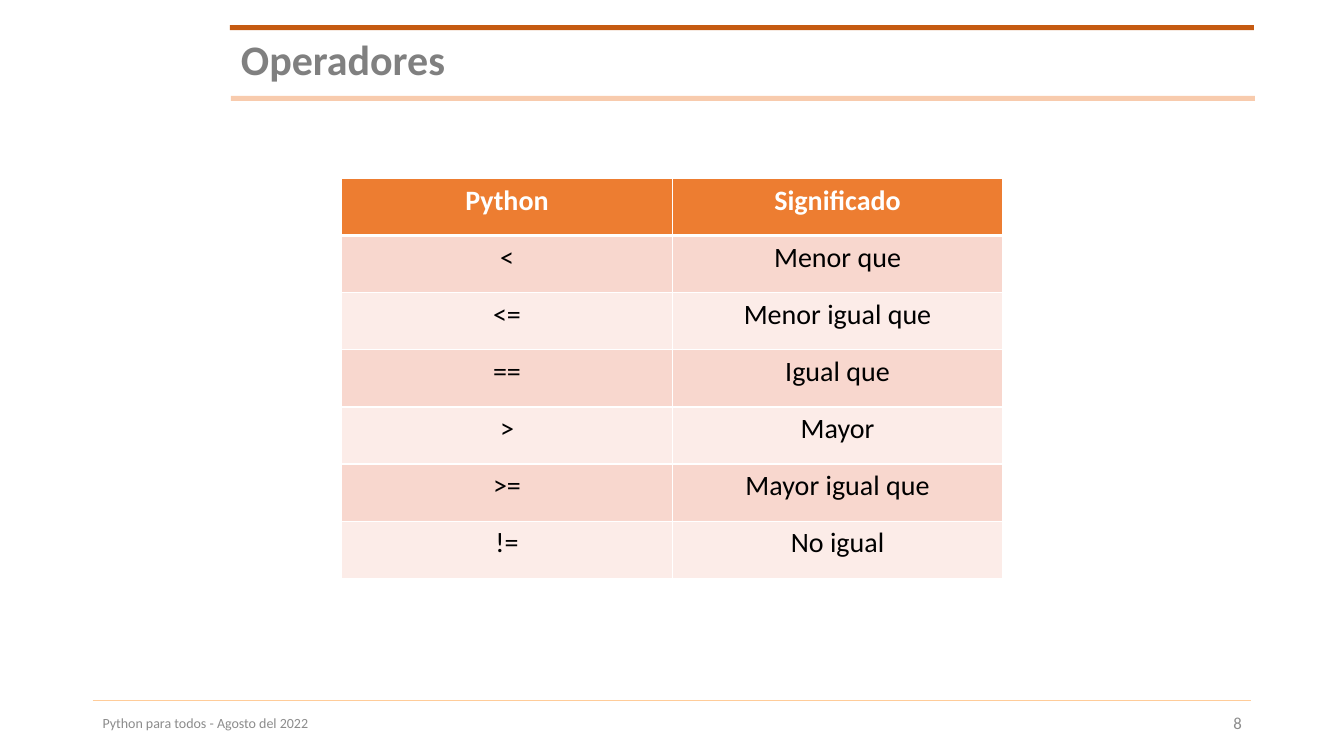
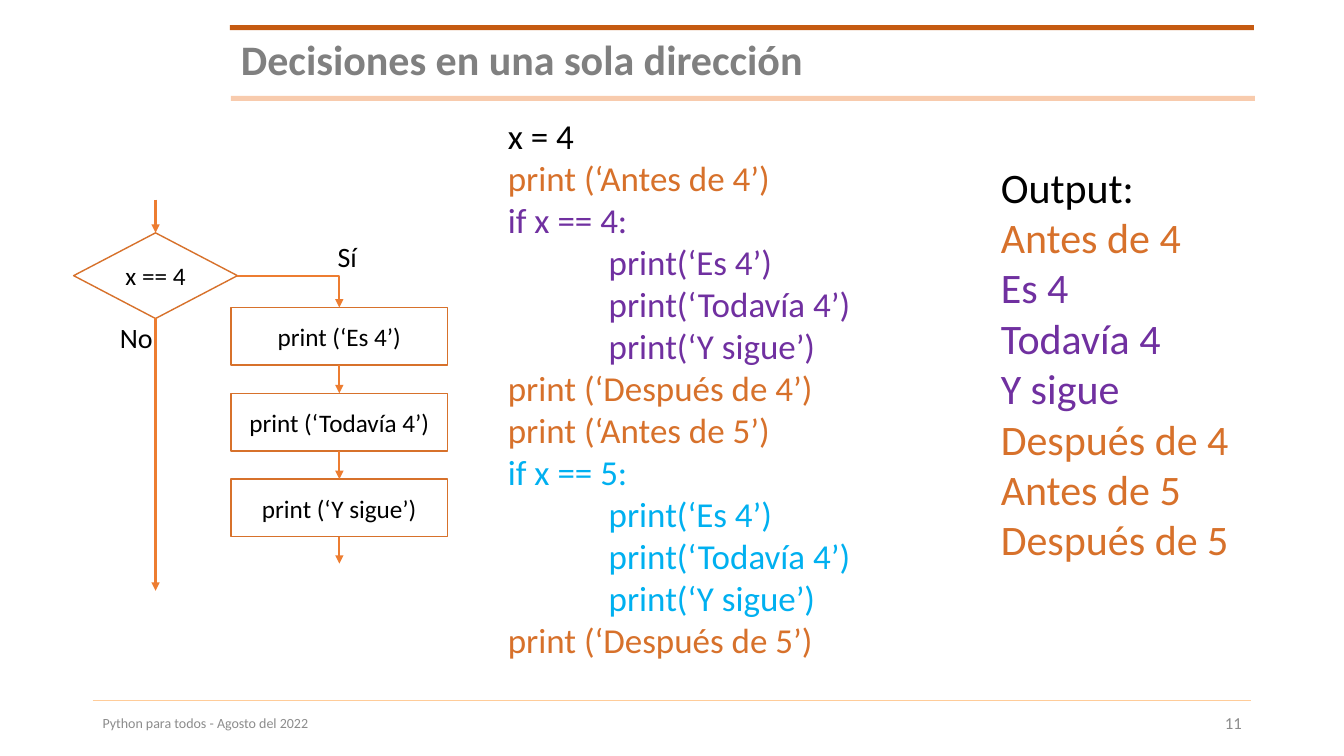
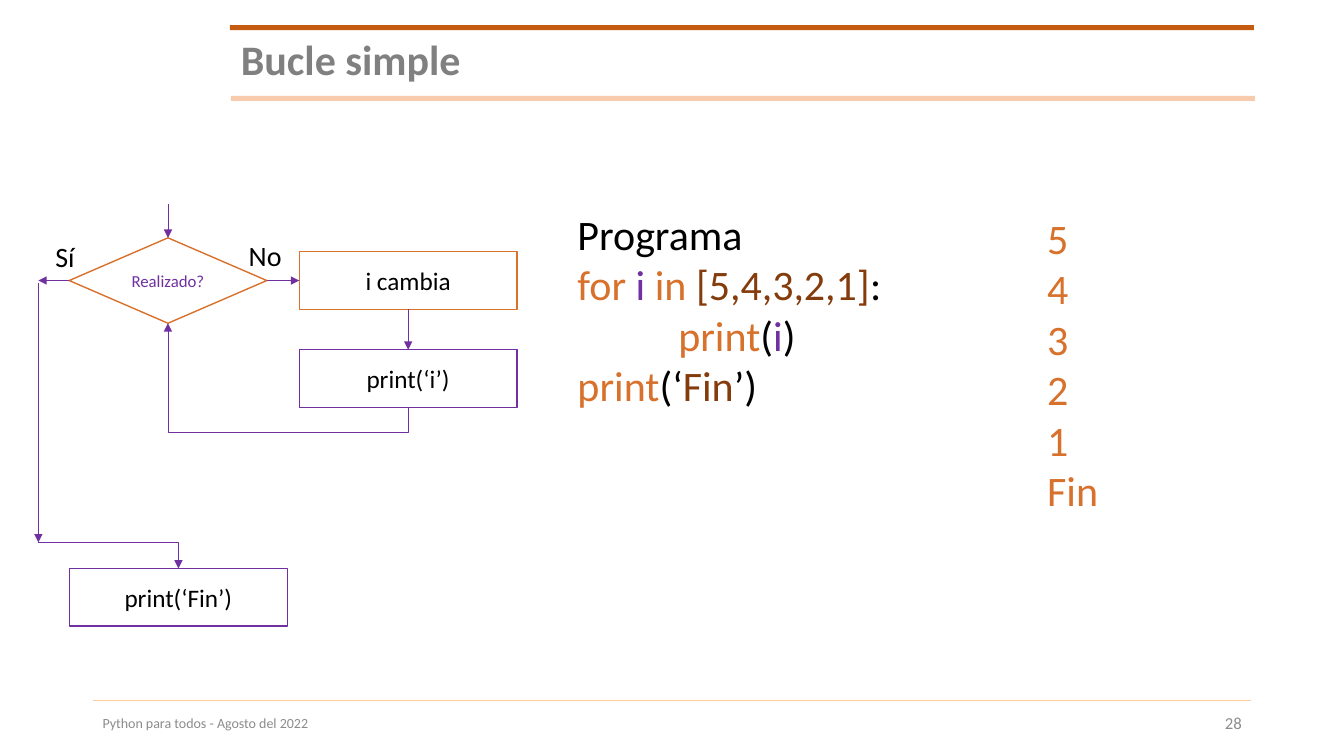
from dataclasses import dataclass

from lxml import etree
from pptx import Presentation
from pptx import util as u
from pptx.dml.color import RGBColor
from pptx.enum import shapes, text
from pptx.oxml import ns

Pt = u.Pt


@dataclass(frozen=True)
class Theme:
    font: str = "Calibri"
    black: str = "000000"
    white: str = "FFFFFF"
    title: str = "808080"
    footer: str = "8C8C8C"
    rule: str = "FFCC99"
    top_bar: str = "C55A11"
    bottom_bar: str = "F8CBAD"
    header: str = "ED7D31"
    bands: tuple = ("F8D7CE", "FCECE8")
    orange: str = "D7712B"
    purple: str = "7030A0"
    blue: str = "00B0F0"
    brown: str = "843C0C"
    arrow: str = "ED7D31"
    title_size: int = 30
    big_size: int = 30
    code_size: int = 25
    label_size: int = 20
    box_size: int = 18
    small_size: int = 12
    footer_size: int = 10


THEME = Theme()
BLACK, ORANGE, PURPLE = THEME.black, THEME.orange, THEME.purple
BLUE, BROWN = THEME.blue, THEME.brown
TOP, LEFT, BOTTOM, RIGHT = range(4)
INDENT = 72

FOOTER = "Python para todos - Agosto del 2022"
OPERATORS = [
    ("Python", "Significado"),
    ("<", "Menor que"),
    ("<=", "Menor igual que"),
    ("==", "Igual que"),
    (">", "Mayor"),
    (">=", "Mayor igual que"),
    ("!=", "No igual"),
]
DECISION_CODE = [
    (0, [("x = 4", BLACK)]),
    (0, [("print (‘Antes de 4’)", ORANGE)]),
    (0, [("if x == 4:", PURPLE)]),
    (1, [("print(‘Es 4’)", PURPLE)]),
    (1, [("print(‘Todavía 4’)", PURPLE)]),
    (1, [("print(‘Y sigue’)", PURPLE)]),
    (0, [("print (‘Después de 4’)", ORANGE)]),
    (0, [("print (‘Antes de 5’)", ORANGE)]),
    (0, [("if x == 5:", BLUE)]),
    (1, [("print(‘Es 4’)", BLUE)]),
    (1, [("print(‘Todavía 4’)", BLUE)]),
    (1, [("print(‘Y sigue’)", BLUE)]),
    (0, [("print (‘Después de 5’)", ORANGE)]),
]
DECISION_OUTPUT = [
    (0, [("Output:", BLACK)]),
    (0, [("Antes de 4", ORANGE)]),
    (0, [("Es 4", PURPLE)]),
    (0, [("Todavía 4", PURPLE)]),
    (0, [("Y sigue", PURPLE)]),
    (0, [("Después de 4", ORANGE)]),
    (0, [("Antes de 5", ORANGE)]),
    (0, [("Después de 5", ORANGE)]),
]
DECISION_STEPS = ["print (‘Es 4’)", "print (‘Todavía 4’)", "print (‘Y sigue’)"]
LOOP_CODE = [
    (0, [("Programa", BLACK)]),
    (0, [("for ", ORANGE), ("i ", PURPLE), ("in ", ORANGE),
         ("[5,4,3,2,1]", BROWN), (":", BLACK)]),
    (1, [("print", ORANGE), ("(", BLACK), ("i", PURPLE), (")", BLACK)]),
    (0, [("print", ORANGE), ("(‘", BLACK), ("Fin", BROWN), ("’)", BLACK)]),
]
LOOP_OUTPUT = [(0, [(line, ORANGE)]) for line in ("5", "4", "3", "2", "1", "Fin")]


def points(values):
    return [Pt(value) for value in values]


def rgb(color):
    return RGBColor.from_string(color)


def add_run(paragraph, content, size, color, bold=False):
    run = paragraph.add_run()
    run.text = content
    run.font.name = THEME.font
    run.font.size = Pt(size)
    run.font.bold = bold
    run.font.color.rgb = rgb(color)


def add_text(slide, box, lines, size, align=None, grow=True):
    frame = slide.shapes.add_textbox(*points(box)).text_frame
    frame.word_wrap = True
    if grow:
        frame.auto_size = text.MSO_AUTO_SIZE.SHAPE_TO_FIT_TEXT
    else:
        frame.vertical_anchor = text.MSO_ANCHOR.MIDDLE
    for index, (level, runs) in enumerate(lines):
        paragraph = frame.add_paragraph() if index else frame.paragraphs[0]
        paragraph.alignment = align
        if level:
            properties = paragraph._p.get_or_add_pPr()
            properties.set("marL", str(Pt(INDENT * level)))
            properties.set("indent", "0")
        for content, color in runs:
            add_run(paragraph, content, size, color)


def add_label(slide, left, top, content):
    add_text(slide, (left, top, 43, 32), [(0, [(content, BLACK)])], THEME.label_size)


def add_node(slide, box, content, line, size=THEME.box_size, color=BLACK,
             kind=shapes.MSO_SHAPE.RECTANGLE):
    shape = slide.shapes.add_shape(kind, *points(box))
    shape.shadow.inherit = False
    shape.fill.solid()
    shape.fill.fore_color.rgb = rgb(THEME.white)
    shape.line.color.rgb = rgb(line)
    shape.line.width = Pt(1)
    shape.text_frame.word_wrap = True
    shape.text_frame.vertical_anchor = text.MSO_ANCHOR.MIDDLE
    paragraph = shape.text_frame.paragraphs[0]
    paragraph.alignment = text.PP_ALIGN.CENTER
    add_run(paragraph, content, size, color)
    return shape


def add_line(slide, begin, end, color, width, kind=shapes.MSO_CONNECTOR.STRAIGHT):
    connector = slide.shapes.add_connector(kind, *points((*begin, *end)))
    connector.line.color.rgb = rgb(color)
    connector.line.width = Pt(width)
    etree.SubElement(connector.element.spPr, ns.qn("a:effectLst"))
    return connector


def add_arrow(slide, begin, end, color, width, bend=None):
    kind = shapes.MSO_CONNECTOR.ELBOW if bend else shapes.MSO_CONNECTOR.STRAIGHT
    places = [(0, 0) if hasattr(anchor[0], "shape_id") else anchor
              for anchor in (begin, end)]
    connector = add_line(slide, *places, color, width, kind)
    for anchor, connect in ((begin, connector.begin_connect), (end, connector.end_connect)):
        if hasattr(anchor[0], "shape_id"):
            connect(*anchor)
    line = connector.element.spPr.find(ns.qn("a:ln"))
    etree.SubElement(line, ns.qn("a:tailEnd"), type="triangle")
    if bend:
        connector.element.spPr.find(ns.qn("a:prstGeom")).set("prst", bend)
    return connector


def turn_under(connector, depth):
    left, top, width, height = (connector.left, connector.top,
                                connector.width, connector.height)
    connector.left = left + (width - height) // 2
    connector.top = top + (height - width) // 2
    connector.width, connector.height = height, width
    transform = connector.element.spPr.find(ns.qn("a:xfrm"))
    transform.set("rot", "5400000")
    transform.set("flipH", "1")
    transform.attrib.pop("flipV", None)
    geometry = connector.element.spPr.find(ns.qn("a:prstGeom"))
    adjustments = geometry.find(ns.qn("a:avLst"))
    if adjustments is None:
        adjustments = etree.SubElement(geometry, ns.qn("a:avLst"))
    share = round(-100000 * Pt(depth) / height)
    etree.SubElement(adjustments, ns.qn("a:gd"), name="adj1", fmla=f"val {share}")


def decorate_layout(presentation, layout):
    slide = presentation.slides[0]
    parts = [add_line(slide, (66.2, 500), (893.5, 500), THEME.rule, 0.5)]
    for left, top, color in ((164.2, 18, THEME.top_bar), (164.9, 68.4, THEME.bottom_bar)):
        bar = slide.shapes.add_shape(shapes.MSO_SHAPE.RECTANGLE,
                                     *points((left, top, 731.5, 3.6)))
        bar.shadow.inherit = False
        bar.fill.solid()
        bar.fill.fore_color.rgb = rgb(color)
        bar.line.fill.background()
        parts.append(bar)
    for part in parts:
        layout.shapes.element.append(part.element)


def add_slide(presentation, layout, heading, number):
    slide = presentation.slides.add_slide(layout)
    title = slide.shapes.title
    title.left, title.top, title.width, title.height = points((164.9, 23.8, 728.6, 41))
    title.fill.solid()
    title.fill.fore_color.rgb = rgb(THEME.white)
    frame = title.text_frame
    frame.auto_size = text.MSO_AUTO_SIZE.NONE
    frame.vertical_anchor = text.MSO_ANCHOR.MIDDLE
    paragraph = frame.paragraphs[0]
    paragraph.alignment = text.PP_ALIGN.LEFT
    paragraph.line_spacing = 0.9
    add_run(paragraph, heading, THEME.title_size, THEME.title, True)
    add_text(slide, (66.2, 502.6, 612, 28), [(0, [(FOOTER, THEME.footer)])],
             THEME.footer_size, grow=False)
    add_text(slide, (678.2, 502.6, 216, 28), [(0, [(str(number), THEME.footer)])],
             THEME.small_size, text.PP_ALIGN.RIGHT, grow=False)
    return slide


def set_borders(cell, widths):
    properties = cell._tc.get_or_add_tcPr()
    for side, width in zip("LRTB", widths):
        line = etree.SubElement(properties, ns.qn(f"a:ln{side}"), w=str(Pt(width)))
        fill = etree.SubElement(line, ns.qn("a:solidFill"))
        etree.SubElement(fill, ns.qn("a:srgbClr"), val=THEME.white)


def fill_operators(slide):
    row_height = 40.83
    box = (244.1, 127.4, 472.3, row_height * len(OPERATORS))
    table = slide.shapes.add_table(len(OPERATORS), 2, *points(box)).table
    for row, values in enumerate(OPERATORS):
        table.rows[row].height = Pt(row_height)
        header = row == 0
        for column, value in enumerate(values):
            cell = table.cell(row, column)
            set_borders(cell, (1, 1, 3 if row == 1 else 1, 3 if header else 1))
            cell.fill.solid()
            cell.fill.fore_color.rgb = rgb(
                THEME.header if header else THEME.bands[(row - 1) % 2])
            paragraph = cell.text_frame.paragraphs[0]
            paragraph.alignment = text.PP_ALIGN.CENTER
            add_run(paragraph, value, THEME.label_size,
                    THEME.white if header else BLACK, header)


def fill_decision(slide):
    style = (THEME.arrow, 1.5)
    add_text(slide, (355.7, 78.5, 366.5, 401), DECISION_CODE, THEME.code_size)
    add_text(slide, (707.8, 111.6, 216, 298), DECISION_OUTPUT, THEME.big_size)
    decision = add_node(slide, (52.6, 166.3, 117, 61.2), "x == 4", ORANGE,
                        kind=shapes.MSO_SHAPE.FLOWCHART_DECISION)
    steps = [add_node(slide, (164.9, 219.6 + 61.3 * index, 155, 41.2), content, ORANGE)
             for index, content in enumerate(DECISION_STEPS)]
    add_arrow(slide, (111.1, 142.6), (decision, TOP), *style)
    add_arrow(slide, (decision, BOTTOM), (111.1, 422), *style)
    add_arrow(slide, (decision, RIGHT), (steps[0], TOP), *style, "bentConnector2")
    for upper, lower in zip(steps, steps[1:]):
        add_arrow(slide, (upper, BOTTOM), (lower, TOP), *style)
    add_arrow(slide, (steps[-1], BOTTOM), (242.4, 402.6), *style)
    add_label(slide, 234, 167.8, "Sí")
    add_label(slide, 78.5, 225.4, "No")


def fill_loop(slide):
    style = (PURPLE, 0.5)
    add_text(slide, (405.4, 145.4, 262, 153), LOOP_CODE, THEME.big_size)
    add_text(slide, (740.9, 148.3, 153, 225), LOOP_OUTPUT, THEME.big_size)
    decision = add_node(slide, (49.4, 169.9, 141.2, 61), "Realizado?", ORANGE,
                        THEME.small_size, PURPLE, shapes.MSO_SHAPE.FLOWCHART_DECISION)
    change = add_node(slide, (213.8, 179.8, 155.5, 41.2), "i cambia", ORANGE)
    show = add_node(slide, (213.8, 249.8, 155.5, 41.2), "print(‘i’)", PURPLE)
    finish = add_node(slide, (49.7, 406.1, 155.5, 41.2), "print(‘Fin’)", PURPLE)
    add_arrow(slide, (120, 145.4), (decision, TOP), *style)
    add_arrow(slide, (decision, RIGHT), (change, LEFT), *style)
    add_arrow(slide, (change, BOTTOM), (show, TOP), *style)
    back = add_arrow(slide, (show, BOTTOM), (decision, BOTTOM), *style, "bentConnector3")
    turn_under(back, 18)
    add_arrow(slide, (decision, LEFT), (27.4, 200.4), *style)
    add_arrow(slide, (27.4, 202.3), (27.4, 387.4), *style)
    add_arrow(slide, (27.4, 387.4), (finish, TOP), *style, "bentConnector2")
    add_label(slide, 32.4, 167.8, "Sí")
    add_label(slide, 170.6, 167, "No")


SLIDES = [
    ("Operadores", 8, fill_operators),
    ("Decisiones en una sola dirección", 11, fill_decision),
    ("Bucle simple", 28, fill_loop),
]


def main():
    presentation = Presentation()
    presentation.slide_width, presentation.slide_height = points((960, 540))
    layout = presentation.slide_layouts[5]
    for heading, number, fill in SLIDES:
        fill(add_slide(presentation, layout, heading, number))
    decorate_layout(presentation, layout)
    presentation.save("out.pptx")


if __name__ == "__main__":
    main()
